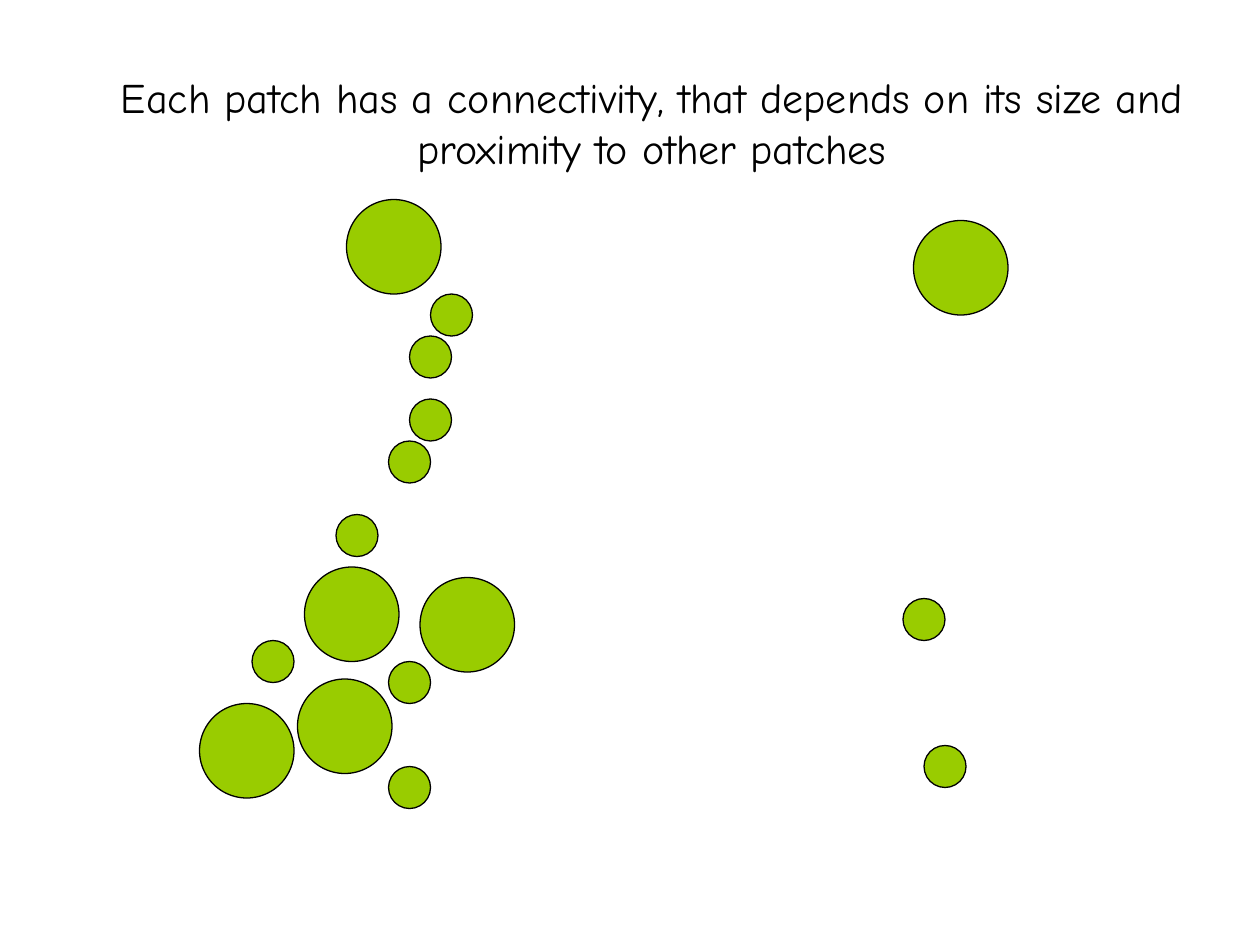
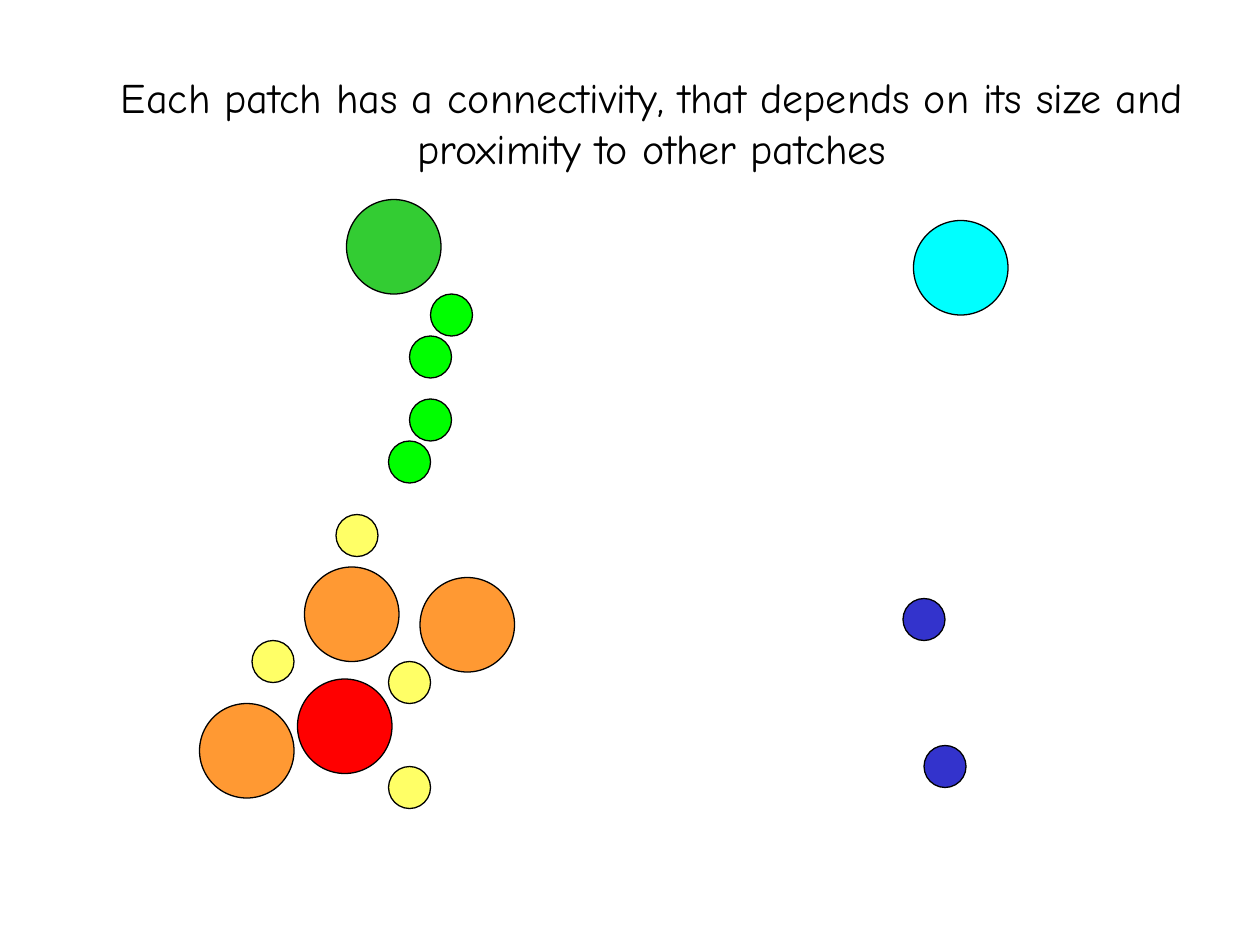
"""Build two slides on how patch size and proximity set connectivity."""
import pptx
import pptx.dml.color
import pptx.enum.shapes
import pptx.enum.text
import pptx.util

Pt = pptx.util.Pt

TITLE = "Each patch has a connectivity, that depends on its size and proximity to other patches"
FONT = "Comic Neue"
LARGE, SMALL = 54, 24

COLOURS = {
    "text": "000000",
    "outline": "000000",
    "habitat": "99CC00",
    "large in cluster": "FF9933",
    "small isolated": "3333CC",
    "small in cluster": "FFFF66",
    "large at chain end": "33CC33",
    "large isolated": "00FFFF",
    "small in chain": "00FF00",
    "cluster centre": "FF0000",
}

PATCH_GROUPS = [
    ("large in cluster", LARGE, [(114, 402), (174, 324), (240, 330)]),
    ("small isolated", SMALL, [(516, 342), (528, 426)]),
    ("small in cluster", SMALL, [(222, 438), (192, 294), (222, 378), (144, 366)]),
    ("large at chain end", LARGE, [(198, 114)]),
    ("large isolated", LARGE, [(522, 126)]),
    ("small in chain", SMALL, [(222, 252), (234, 228), (234, 192), (246, 168)]),
    ("cluster centre", LARGE, [(170, 388)]),
]


def colour(name):
    """Return the named colour as an RGB value."""
    return pptx.dml.color.RGBColor.from_string(COLOURS[name])


def add_title(slide):
    """Add the centred title shared by both slides."""
    title = slide.shapes.add_textbox(Pt(60), Pt(37.5), Pt(625), Pt(65))
    text_frame = title.text_frame
    text_frame.word_wrap = True
    text_frame.auto_size = pptx.enum.text.MSO_AUTO_SIZE.SHAPE_TO_FIT_TEXT
    text_frame.text = TITLE
    paragraph = text_frame.paragraphs[0]
    paragraph.alignment = pptx.enum.text.PP_ALIGN.CENTER
    font = paragraph.runs[0].font
    font.name = FONT
    font.size = Pt(24)
    font.color.rgb = colour("text")


def add_patch(slide, left, top, diameter, fill):
    """Add one round habitat patch."""
    patch = slide.shapes.add_shape(
        pptx.enum.shapes.MSO_SHAPE.OVAL, Pt(left), Pt(top), Pt(diameter), Pt(diameter)
    )
    patch.shadow.inherit = False
    patch.fill.solid()
    patch.fill.fore_color.rgb = colour(fill)
    patch.line.color.rgb = colour("outline")
    patch.line.width = Pt(0.75)


def add_patch_slide(presentation, by_connectivity):
    """Add a patch map, coloured by connectivity or all alike."""
    slide = presentation.slides.add_slide(presentation.slide_layouts[6])
    add_title(slide)
    for connectivity, diameter, positions in PATCH_GROUPS:
        fill = connectivity if by_connectivity else "habitat"
        for left, top in positions:
            add_patch(slide, left, top, diameter, fill)


def main():
    """Build and save the presentation."""
    presentation = pptx.Presentation()
    presentation.slide_width = Pt(720)
    presentation.slide_height = Pt(540)
    for by_connectivity in (False, True):
        add_patch_slide(presentation, by_connectivity)
    presentation.save("out.pptx")


if __name__ == "__main__":
    main()
